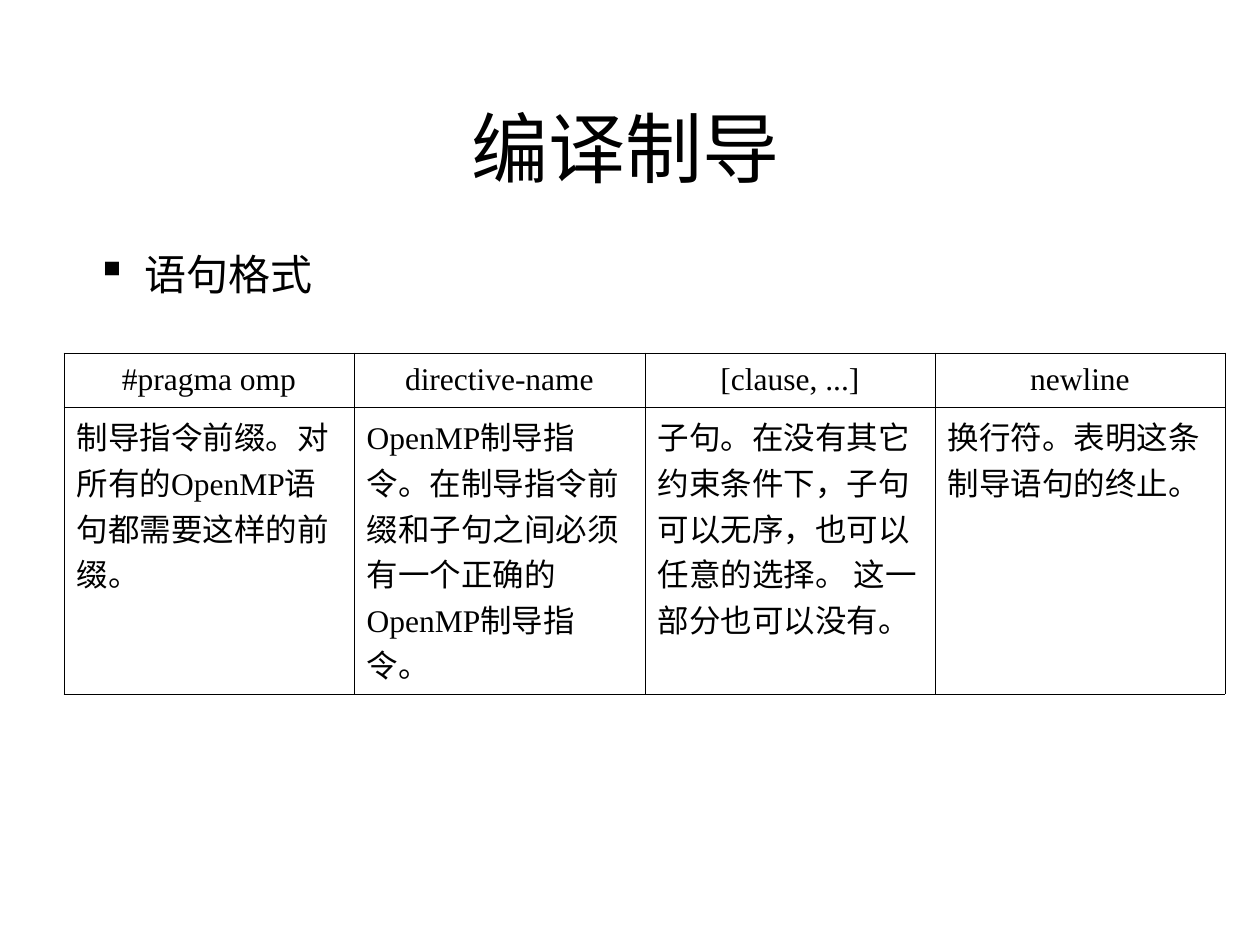
from lxml.etree import SubElement
from pptx import Presentation
from pptx.dml.color import RGBColor
from pptx.enum.text import MSO_ANCHOR, PP_ALIGN
from pptx.oxml.ns import qn
from pptx.util import Pt

PX = 914400 / 126
BLACK = RGBColor(0x00, 0x00, 0x00)
BORDER_WIDTH = Pt(0.45)
HANGING_INDENT = 48


def px(length):
    return round(length * PX)


def format_paragraph(paragraph, font_name, size, alignment=PP_ALIGN.LEFT, hanging=True):
    paragraph.alignment = alignment
    if hanging:
        properties = paragraph._p.get_or_add_pPr()
        properties.set("marL", str(px(HANGING_INDENT)))
        properties.set("indent", str(-px(HANGING_INDENT)))
    for run in paragraph.runs:
        run.font.name = font_name
        run.font.size = Pt(size)
        run.font.color.rgb = BLACK


presentation = Presentation()
presentation.slide_width = px(1260)
presentation.slide_height = px(945)
slide = presentation.slides.add_slide(presentation.slide_layouts[6])

# Title
title = slide.shapes.add_textbox(px(94), px(94), px(1081), px(105))
title.text_frame.word_wrap = True
title.text_frame.vertical_anchor = MSO_ANCHOR.BOTTOM
title.text_frame.text = "编译制导 "
format_paragraph(title.text_frame.paragraphs[0], "Arial", 44, PP_ALIGN.CENTER, hanging=False)

# Bulleted heading
body = slide.shapes.add_textbox(px(84), px(242), px(530), px(630))
body.text_frame.word_wrap = True
body.text_frame.text = "语句格式"
heading = body.text_frame.paragraphs[0]
bullet = SubElement(heading._p.get_or_add_pPr(), qn("a:buChar"))
bullet.set("char", "▪")
format_paragraph(heading, "Arial", 24)

# Directive format table: header and explanation of each part
columns = [
    ("#pragma omp", "制导指令前缀。对\n所有的OpenMP语\n句都需要这样的前\n缀。"),
    ("directive-name",
     "OpenMP制导指\n令。在制导指令前\n缀和子句之间必须\n有一个正确的\nOpenMP制导指\n令。"),
    ("[clause, ...]",
     "子句。在没有其它\n约束条件下，子句\n可以无序，也可以\n任意的选择。 这一\n部分也可以没有。"),
    ("newline", "换行符。表明这条\n制导语句的终止。"),
]
column_widths = [290, 291, 290, 290]
row_heights = [54, 287]
table = slide.shapes.add_table(
    len(row_heights), len(columns), px(64), px(353),
    px(sum(column_widths)), px(sum(row_heights))).table
table.first_row = False
table.horz_banding = False
for row, height in zip(table.rows, row_heights):
    row.height = px(height)

for column_index, (texts, width) in enumerate(zip(columns, column_widths)):
    table.columns[column_index].width = px(width)
    for row_index, text in enumerate(texts):
        cell = table.cell(row_index, column_index)
        is_header = row_index == 0
        cell.text_frame.text = text
        cell.vertical_anchor = MSO_ANCHOR.MIDDLE if is_header else MSO_ANCHOR.TOP
        alignment = PP_ALIGN.CENTER if is_header else PP_ALIGN.LEFT
        for paragraph in cell.text_frame.paragraphs:
            format_paragraph(paragraph, "Times New Roman", 18, alignment)

        # Thin black borders, no fill
        cell_properties = cell._tc.get_or_add_tcPr()
        for side in ("lnL", "lnR", "lnT", "lnB"):
            line = SubElement(cell_properties, qn(f"a:{side}"), w=str(BORDER_WIDTH))
            fill = SubElement(line, qn("a:solidFill"))
            SubElement(fill, qn("a:srgbClr"), val=str(BLACK))
        cell.fill.background()

presentation.save("out.pptx")
